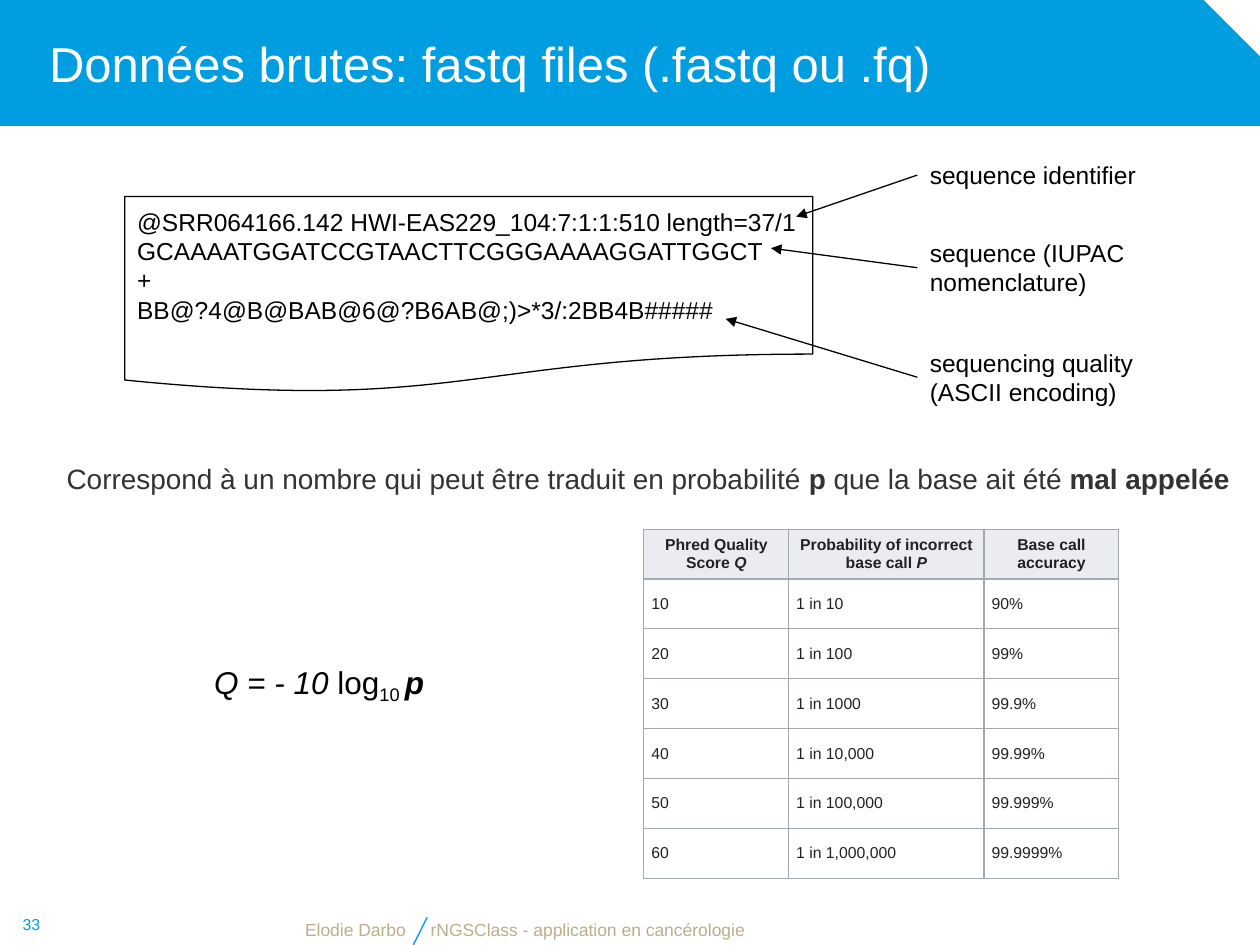
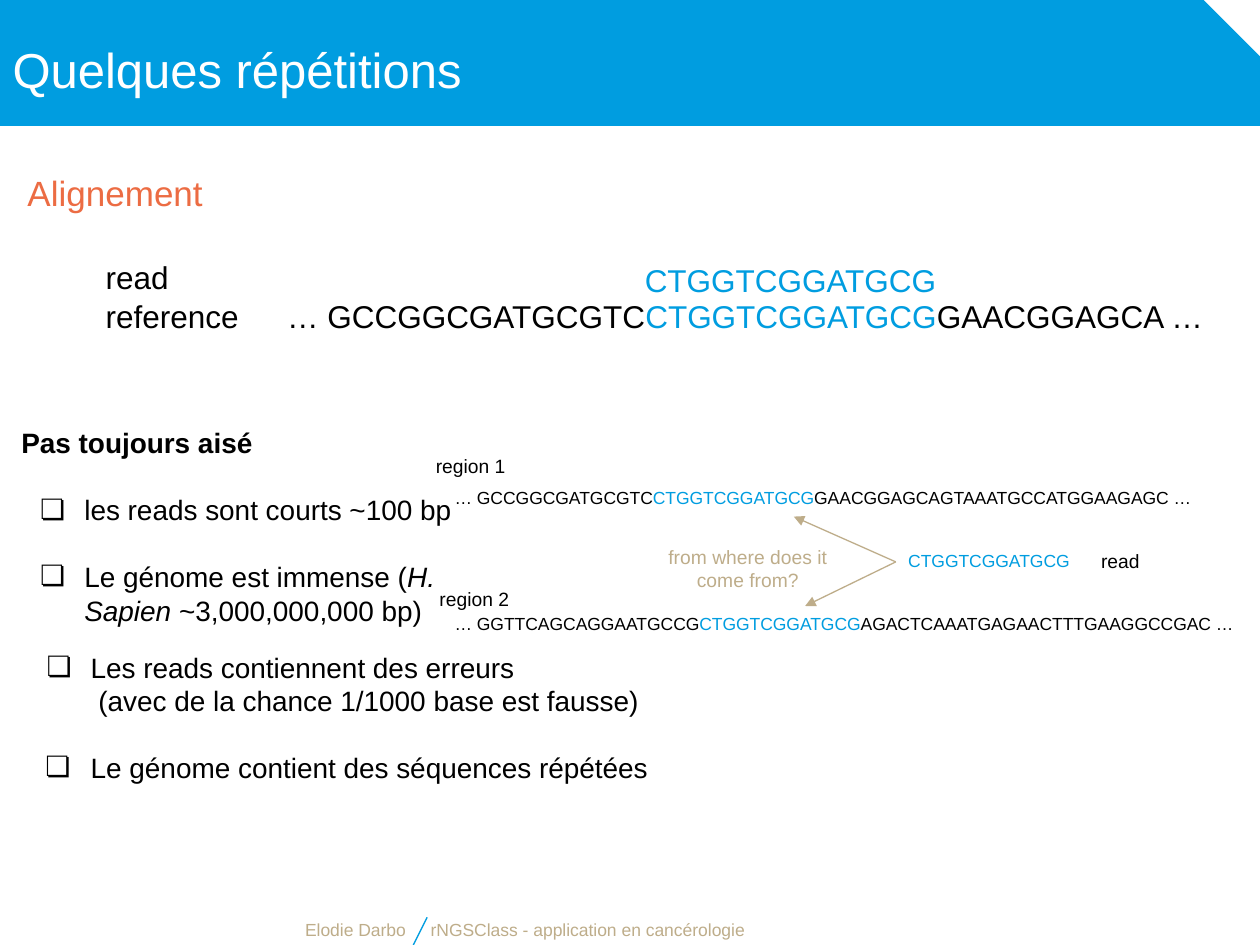
import pptx
import pptx.util
import pptx.dml.color
import pptx.enum.shapes
import pptx.enum.text
import pptx.oxml
import pptx.oxml.ns

Pt = pptx.util.Pt
RGB = pptx.dml.color.RGBColor
SHAPE = pptx.enum.shapes.MSO_SHAPE
ALIGN = pptx.enum.text.PP_ALIGN
ANCHOR = pptx.enum.text.MSO_ANCHOR

# Shared look
FONT = "Arial"
BLUE = RGB(0x00, 0x9D, 0xE0)
SAND = RGB(0xBE, 0xAD, 0x8A)
ORANGE = RGB(0xEC, 0x6C, 0x43)
BLACK = RGB(0x00, 0x00, 0x00)
WHITE = RGB(0xFF, 0xFF, 0xFF)
DARK_GREY = RGB(0x33, 0x33, 0x33)
TABLE_TEXT = RGB(0x22, 0x22, 0x22)
TABLE_HEAD = RGB(0xEA, 0xEC, 0xF0)
TABLE_LINE = RGB(0xA2, 0xA9, 0xB1)
NARROW = (7.2, 3.6, 7.2, 3.6)
EVEN = (7.2, 7.2, 7.2, 7.2)
BOLD, ITALIC, PLAIN = {"bold": True}, {"italic": True}, {}

# Content: a paragraph is a string, a list of (text, format) runs,
# or a dict with runs and paragraph settings
AUTHOR = "Elodie Darbo"
COURSE = "rNGSClass - application en cancérologie"

FASTQ_TITLE = "Données brutes: fastq files (.fastq ou .fq)"
FASTQ_NUMBER = "33"
FASTQ_RECORD = [
    "@SRR064166.142 HWI-EAS229_104:7:1:1:510 length=37/1",
    "GCAAAATGGATCCGTAACTTCGGGAAAAGGATTGGCT",
    "+",
    "BB@?4@B@BAB@6@?B6AB@;)>*3/:2BB4B#####",
]
# label, top, height, arrow tip
RECORD_LABELS = [
    ("sequence identifier", 87.8, 24.5, (455, 123.8)),
    ("sequence (IUPAC nomenclature)", 132.5, 41, (440.6, 141.8)),
    ("sequencing quality (ASCII encoding)", 195.1, 41, (414.7, 182.2)),
]
QUALITY_MEANING = [
    ("Correspond à un nombre qui peut être traduit en probabilité ", PLAIN),
    ("p", BOLD), (" que la base ait été ", PLAIN), ("mal appelée", BOLD),
]
PHRED_FORMULA = [
    ("Q = - 10 ", ITALIC), ("log", PLAIN), ("10 ", {"baseline": -25}),
    ("p", {"bold": True, "italic": True}),
]
PHRED_HEADER = [
    [("Phred Quality Score ", PLAIN), ("Q", ITALIC)],
    [("Probability of incorrect base call ", PLAIN), ("P", ITALIC)],
    "Base call accuracy",
]
PHRED_ROWS = [
    ("10", "1 in 10", "90%"),
    ("20", "1 in 100", "99%"),
    ("30", "1 in 1000", "99.9%"),
    ("40", "1 in 10,000", "99.99%"),
    ("50", "1 in 100,000", "99.999%"),
    ("60", "1 in 1,000,000", "99.9999%"),
]
PHRED_WIDTHS = (82.8, 111.6, 77)
PHRED_ROW_HEIGHT = 28.5

REPEATS_TITLE = "Quelques répétitions"
READ = "CTGGTCGGATGCG"
READ_RUN = (READ, {"color": BLUE})
REFERENCE = [("… GCCGGCGATGCGTC", PLAIN), READ_RUN, ("GAACGGAGCA …", PLAIN)]
# name, sequence, left and top of the name, arrow tip
REGIONS = [
    ("region 1", [("… GCCGGCGATGCGTC", PLAIN), READ_RUN,
                  ("GAACGGAGCAGTAAATGCCATGGAAGAGC …", PLAIN)],
     (225.4, 252.7), (453.6, 295.2)),
    ("region 2", [("… GGTTCAGCAGGAATGCCG", PLAIN), READ_RUN,
                  ("AGACTCAAATGAGAACTTTGAAGGCCGAC …", PLAIN)],
     (227.5, 329), (460.1, 346.3)),
]
BULLET = {"margin": 36, "indent": -25.2, "bullet": "❏"}
ALIGNMENT_ISSUES = [
    [("Pas toujours aisé", BOLD)],
    {"runs": "les reads sont courts ~100 bp", "before": 19, **BULLET},
    {"runs": [("Le génome est immense (", PLAIN), ("H. Sapien", ITALIC),
              (" ~3,000,000,000 bp)", PLAIN)], "before": 19, **BULLET},
]
SEQUENCE_ISSUES = [
    {"runs": "Les reads contiennent des erreurs", **BULLET},
    {"runs": " (avec de la chance 1/1000 base est fausse)", "margin": 36},
    {"runs": "Le génome contient des séquences répétées", "before": 19,
     **BULLET, "indent": -25.9},
]


def points(values):
    return [Pt(value) for value in values]


def add_xml(parent, xml, position=None):
    element = pptx.oxml.parse_xml(
        xml.replace(" ", f' {pptx.oxml.ns.nsdecls("a")} ', 1))
    parent.insert(len(parent) if position is None else position, element)


def format_paragraph(paragraph, settings, color, align):
    paragraph.alignment = align
    paragraph.line_spacing = 1.0
    paragraph.space_before = Pt(settings.get("before", 0))
    paragraph.space_after = Pt(0)
    properties = paragraph._p.get_or_add_pPr()
    properties.set("marL", str(Pt(settings.get("margin", 0))))
    properties.set("indent", str(Pt(settings.get("indent", 0))))
    if "bullet" in settings:
        add_xml(properties, f'<a:buClr ><a:srgbClr val="{color}"/></a:buClr>')
        add_xml(properties, f'<a:buFont typeface="{FONT}"/>')
        add_xml(properties, f'<a:buChar char="{settings["bullet"]}"/>')
    else:
        add_xml(properties, "<a:buNone />")


def write(frame, paragraphs, size=14, color=BLACK, bold=False, align=ALIGN.LEFT):
    """Fill a text frame with paragraphs of formatted runs."""
    for index, content in enumerate(paragraphs):
        settings = content if isinstance(content, dict) else {"runs": content}
        runs = settings["runs"]
        if isinstance(runs, str):
            runs = [(runs, PLAIN)]
        paragraph = frame.paragraphs[0] if index == 0 else frame.add_paragraph()
        format_paragraph(paragraph, settings, color, align)
        for text, style in runs:
            run = paragraph.add_run()
            run.text = text
            run.font.name = FONT
            run.font.size = Pt(size)
            run.font.bold = style.get("bold", bold)
            run.font.italic = style.get("italic", False)
            run.font.color.rgb = style.get("color", color)
            if "baseline" in style:
                run._r.get_or_add_rPr().set("baseline", str(style["baseline"] * 1000))


def set_insets(holder, insets):
    (holder.margin_left, holder.margin_top,
     holder.margin_right, holder.margin_bottom) = points(insets)


def fill_box(box, paragraphs, insets=NARROW, anchor=ANCHOR.TOP, **text_format):
    frame = box.text_frame
    frame.word_wrap = True
    frame.auto_size = pptx.enum.text.MSO_AUTO_SIZE.NONE
    frame.vertical_anchor = anchor
    set_insets(frame, insets)
    write(frame, paragraphs, **text_format)


def add_text(slide, area, paragraphs, **options):
    fill_box(slide.shapes.add_textbox(*points(area)), paragraphs, **options)


def fill_placeholder(placeholder, area, paragraphs, **options):
    (placeholder.left, placeholder.top,
     placeholder.width, placeholder.height) = points(area)
    fill_box(placeholder, paragraphs, **options)


def add_line(slide, start, end, color, arrow=False):
    line = slide.shapes.add_connector(
        pptx.enum.shapes.MSO_CONNECTOR.STRAIGHT, *points(start + end))
    line.line.color.rgb = color
    line.line.width = Pt(0.75)
    if arrow:
        add_xml(line.line._get_or_add_ln(), '<a:tailEnd type="triangle"/>')
    add_xml(line._element.spPr, "<a:effectLst />")


def add_slide(deck, layout, title, title_area, title_insets):
    """Start a slide with the band, title and footer."""
    slide = deck.slides.add_slide(deck.slide_layouts[layout])
    band = slide.shapes.add_shape(SHAPE.SNIP_1_RECTANGLE, *points((0, 0, 720.7, 72)))
    band.adjustments[0] = 0.458
    band.shadow.inherit = False
    band.fill.solid()
    band.fill.fore_color.rgb = BLUE
    band.line.fill.background()
    slide.shapes._spTree.insert(2, band._element)
    fill_placeholder(slide.shapes.title, title_area, [title], size=28, color=WHITE,
                     anchor=ANCHOR.MIDDLE, insets=title_insets)
    add_line(slide, (236.2, 540), (244.1, 524.2), BLUE)
    footer = {"size": 10, "color": SAND, "anchor": ANCHOR.BOTTOM}
    add_text(slide, (36, 524.2, 203, 16.6), [AUTHOR], align=ALIGN.RIGHT, **footer)
    add_text(slide, (239, 524.2, 414, 16.6), [COURSE], **footer)
    return slide


def add_phred_table(slide, left, top):
    rows = [PHRED_HEADER] + PHRED_ROWS
    table = slide.shapes.add_table(
        len(rows), len(PHRED_WIDTHS),
        *points((left, top, sum(PHRED_WIDTHS), PHRED_ROW_HEIGHT * len(rows)))).table
    table.horz_banding = False
    for column, width in zip(table.columns, PHRED_WIDTHS):
        column.width = Pt(width)
    for row_index, values in enumerate(rows):
        header = row_index == 0
        table.rows[row_index].height = Pt(PHRED_ROW_HEIGHT)
        for column_index, value in enumerate(values):
            cell = table.cell(row_index, column_index)
            for position, side in enumerate(("lnL", "lnR", "lnT", "lnB")):
                add_xml(cell._tc.get_or_add_tcPr(),
                        f'<a:{side} w="{Pt(0.75)}"><a:solidFill><a:srgbClr '
                        f'val="{TABLE_LINE}"/></a:solidFill></a:{side}>', position)
            if header:
                cell.fill.solid()
                cell.fill.fore_color.rgb = TABLE_HEAD
            else:
                cell.fill.background()
            cell.vertical_anchor = ANCHOR.MIDDLE
            set_insets(cell, (4.3, 2.2, 4.3, 2.2))
            write(cell.text_frame, [value], size=9, color=TABLE_TEXT, bold=header,
                  align=ALIGN.CENTER if header else ALIGN.LEFT)


def build_fastq_slide(deck):
    slide = add_slide(deck, 5, FASTQ_TITLE, (0, 0, 684, 72), (28.1, 3.6, 7.2, 3.6))
    add_text(slide, (0, 516.2, 36, 23.8), [FASTQ_NUMBER], size=9, color=BLUE,
             anchor=ANCHOR.MIDDLE, align=ALIGN.CENTER)

    # Fastq record and its labels
    record = slide.shapes.add_shape(
        SHAPE.FLOWCHART_DOCUMENT, *points((71.3, 112.3, 393.1, 112.3)))
    record.shadow.inherit = False
    record.fill.background()
    record.line.color.rgb = BLACK
    record.line.width = Pt(0.75)
    add_text(slide, (71.3, 114.5, 393.1, 74.9), FASTQ_RECORD)
    label_left = 524.2
    for label, top, height, tip in RECORD_LABELS:
        add_text(slide, (label_left, top, 157, height), [label])
        add_line(slide, (label_left, top + height / 2), tip, BLACK, arrow=True)

    # Quality score
    add_text(slide, (31, 260, 689, 46), [QUALITY_MEANING], size=16, color=DARK_GREY)
    add_text(slide, (115.2, 375.1, 140.4, 28.8), [PHRED_FORMULA], size=18)
    add_phred_table(slide, 367.9, 302.4)


def build_repeats_slide(deck):
    slide = add_slide(deck, 3, REPEATS_TITLE, (0, 12.2, 684, 54), EVEN)
    issues, more_issues = list(slide.placeholders)[1:]
    fill_placeholder(issues, (5, 236.2, 270.7, 138.2), ALIGNMENT_ISSUES,
                     size=16, insets=EVEN)
    fill_placeholder(more_issues, (8.6, 364.3, 398.9, 168.5), SEQUENCE_ISSUES,
                     size=16, insets=EVEN)

    # Read aligned on the reference
    add_text(slide, (8.6, 90.7, 680, 43), ["Alignement"], size=20, color=ORANGE,
             insets=EVEN)
    for area, content in [
        ((53.3, 140.4, 74.2, 35.3), "read"),
        ((53.3, 162.7, 103.7, 35.3), "reference"),
        ((361.4, 141.8, 199.4, 26.6), [READ_RUN]),
        ((157, 162.7, 541.4, 35.3), REFERENCE),
    ]:
        add_text(slide, area, [content], size=18, insets=EVEN)

    # One read, two possible regions
    read_start = (511.9, 321.1)
    for index, (name, sequence, corner, tip) in enumerate(REGIONS):
        add_text(slide, (252.7, 271.4 + 72 * index, 469.4, 26.6), [sequence],
                 size=10, insets=EVEN)
        add_text(slide, corner + (87.1, 26.6), [name], size=11, insets=EVEN,
                 anchor=ANCHOR.MIDDLE, align=ALIGN.CENTER)
        add_line(slide, read_start, tip, SAND, arrow=True)
    add_text(slide, (511.9, 307.4, 114.5, 26.6), [[READ_RUN]], size=10, insets=EVEN)
    add_text(slide, (622.1, 307.4, 46.1, 26.6), ["read"], size=11, insets=EVEN,
             anchor=ANCHOR.MIDDLE)
    add_text(slide, (373.7, 304.6, 107.3, 16.6), ["from where does it come from?"],
             size=11, color=SAND, insets=EVEN, align=ALIGN.CENTER)


def main():
    deck = pptx.Presentation()
    deck.slide_width, deck.slide_height = points((720, 540))
    build_fastq_slide(deck)
    build_repeats_slide(deck)
    deck.save("out.pptx")


if __name__ == "__main__":
    main()
